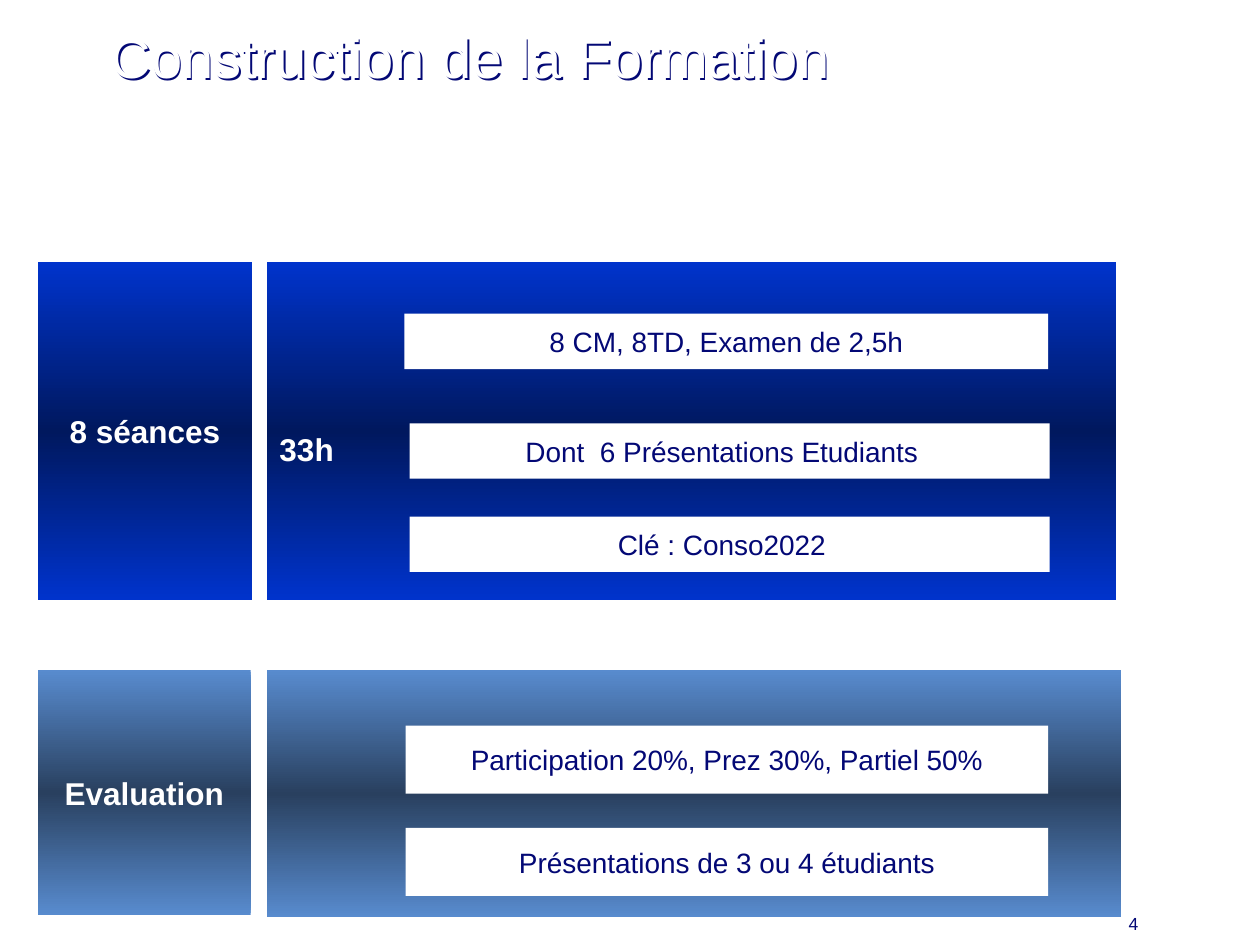
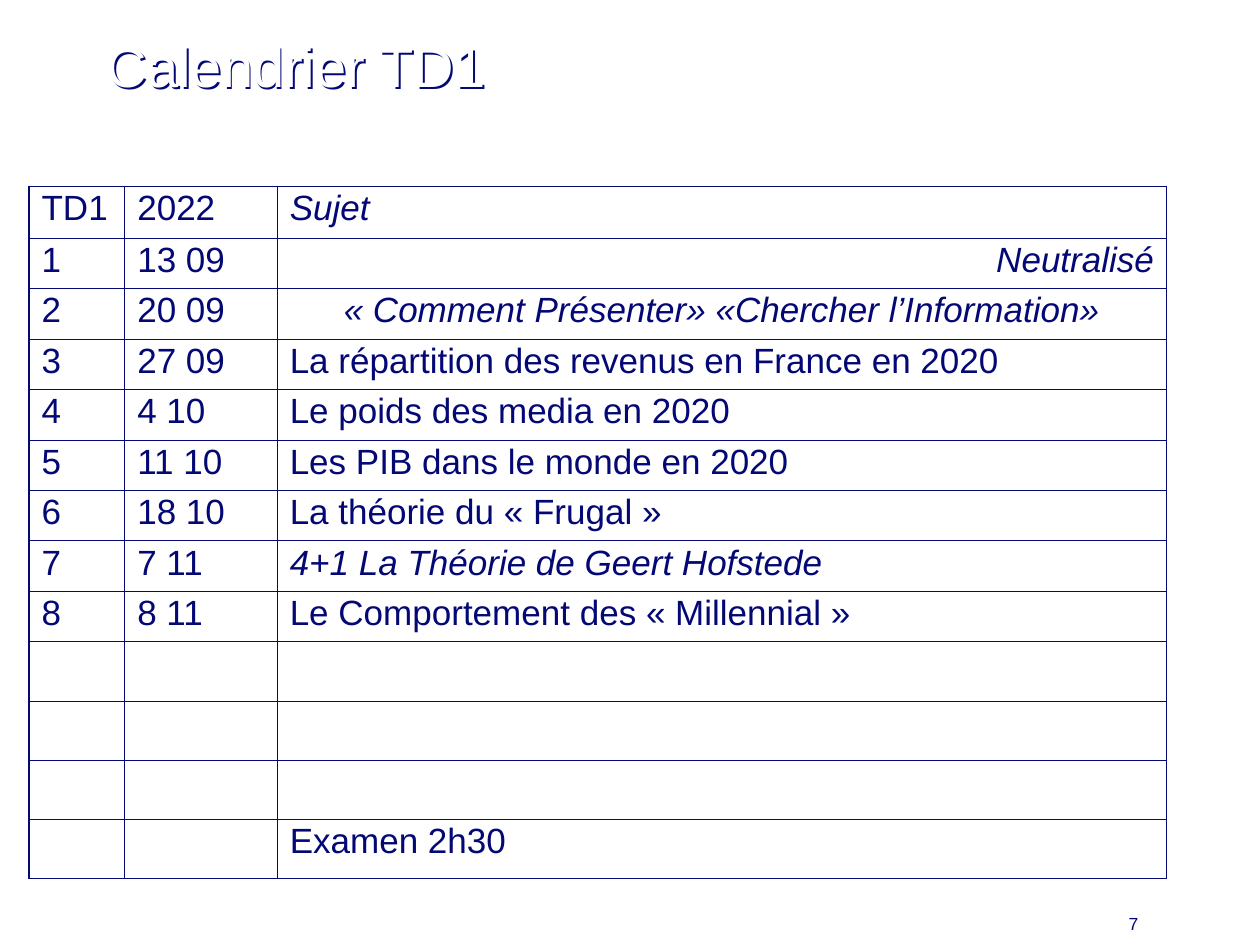
from copy import deepcopy

from pptx import Presentation
from pptx.dml.color import RGBColor
from pptx.enum.shapes import MSO_SHAPE as Shape
from pptx.enum.text import MSO_ANCHOR as Anchor, PP_ALIGN as Align
from pptx.oxml import parse_xml
from pptx.oxml.ns import nsdecls, qn
from pptx.util import Inches, Pt

WHITE = RGBColor(0xFF, 0xFF, 0xFF)
NAVY = RGBColor(0x03, 0x08, 0x75)
ROYAL = RGBColor(0x00, 0x33, 0xCC)
MIDNIGHT = RGBColor(0x00, 0x18, 0x5E)
SKY = RGBColor(0x58, 0x8B, 0xCE)
SLATE = RGBColor(0x29, 0x40, 0x5F)

SESSIONS = (ROYAL, MIDNIGHT, ROYAL)
EVALUATION = (SKY, SLATE, SKY)
THIN, THICK = 0.45, 1.08


class Deck:
    font = "Arial"

    def __init__(self):
        self.deck = Presentation()
        self.deck.slide_width = Inches(10)
        self.deck.slide_height = Inches(7.5)
        self.page = None

    def add_page(self, title, number, left, top, height):
        self.page = self.deck.slides.add_slide(self.deck.slide_layouts[6])
        fill = self.page.background.fill
        fill.solid()
        fill.fore_color.rgb = WHITE
        self.add_text(number, 8.86, 7.2, 0.69, 0.27, 10, NAVY)
        box = self.add_text(title, left, top, 8.48, height, 32, WHITE)
        box.text_frame.vertical_anchor = Anchor.BOTTOM
        box.text_frame.paragraphs[0].line_spacing = 0.9
        self.add_shadow(box)

    def add_shadow(self, box):
        box._element.spPr.append(parse_xml(
            f'<a:effectLst {nsdecls("a")}><a:outerShdw dist="17961" dir="2700000" '
            f'algn="ctr" rotWithShape="0"><a:srgbClr val="{NAVY}"/>'
            '</a:outerShdw></a:effectLst>'))

    def style(self, para, size, color, bold=False, italic=False, align=Align.LEFT):
        para.alignment = align
        para.font.name = self.font
        para.font.size = Pt(size)
        para.font.color.rgb = color
        para.font.bold = bold
        para.font.italic = italic

    def add_text(self, text, left, top, width, height, size, color):
        box = self.page.shapes.add_textbox(
            Inches(left), Inches(top), Inches(width), Inches(height))
        frame = box.text_frame
        frame.word_wrap = True
        frame.text = text
        self.style(frame.paragraphs[0], size, color)
        return box

    def add_box(self, left, top, width, height, text="", size=16, color=NAVY,
                bold=False, align=Align.CENTER):
        box = self.page.shapes.add_shape(
            Shape.RECTANGLE, Inches(left), Inches(top), Inches(width), Inches(height))
        box.shadow.inherit = False
        box.line.fill.background()
        box.fill.solid()
        box.fill.fore_color.rgb = WHITE
        frame = box.text_frame
        frame.word_wrap = True
        frame.vertical_anchor = Anchor.MIDDLE
        frame.text = text
        self.style(frame.paragraphs[0], size, color, bold, align=align)
        return box

    def add_panel(self, left, top, width, height, colors, text="", align=Align.CENTER):
        panel = self.add_box(left, top, width, height, text, 18, WHITE, True, align)
        panel.fill.gradient()
        stop_list = panel._element.spPr.find(qn("a:gradFill")).find(qn("a:gsLst"))
        stop_list.append(deepcopy(stop_list[0]))
        for index, (stop, color) in enumerate(zip(panel.fill.gradient_stops, colors)):
            stop.color.rgb = color
            stop.position = index / 2
        panel.fill.gradient_angle = 90
        return panel

    def set_borders(self, cell, widths):
        properties = cell._tc.get_or_add_tcPr()
        for index, (side, width) in enumerate(widths.items()):
            properties.insert(index, parse_xml(
                f'<a:ln{side} {nsdecls("a")} w="{int(Pt(width))}"><a:solidFill>'
                f'<a:srgbClr val="{NAVY}"/></a:solidFill></a:ln{side}>'))

    def add_table(self, left, top, widths, heights, rows, italics, aligns):
        table = self.page.shapes.add_table(
            len(rows), len(widths), Inches(left), Inches(top),
            Inches(sum(widths)), Inches(sum(heights))).table
        table.first_row = table.horz_banding = False
        for column, width in zip(table.columns, widths):
            column.width = Inches(width)
        last = len(rows) - 1
        for r, (values, height) in enumerate(zip(rows, heights)):
            table.rows[r].height = Inches(height)
            for c, value in enumerate(values):
                cell = table.cell(r, c)
                cell.text = value
                para = cell.text_frame.paragraphs[0]
                para.line_spacing = 0.9
                self.style(para, 20, NAVY, italic=(r, c) in italics,
                           align=aligns.get((r, c), Align.LEFT))
                cell.fill.solid()
                cell.fill.fore_color.rgb = WHITE
                self.set_borders(cell, {
                    "L": THICK if c == 0 else THIN, "R": THIN,
                    "T": THICK if r == 0 else THIN,
                    "B": THICK if r == last else THIN})

    def build_course(self):
        self.add_page("Construction de la Formation", "4", 0.78, 0.2, 0.57)
        self.add_panel(2.12, 5.32, 6.78, 1.96, EVALUATION)
        hours = self.add_panel(2.12, 2.08, 6.74, 2.68, SESSIONS, "33h", Align.LEFT)
        hours.text_frame.margin_top = Inches(0.34)
        self.add_panel(0.3, 2.08, 1.7, 2.68, SESSIONS, "8 séances")
        self.add_panel(0.3, 5.32, 1.69, 1.94, EVALUATION, "Evaluation")
        self.add_box(3.21, 2.49, 5.11, 0.44, "8 CM, 8TD, Examen de 2,5h")
        for top, text in ((3.36, "Dont  6 Présentations Etudiants"),
                          (4.1, "Clé : Conso2022")):
            bar = self.add_box(3.25, top, 5.08, 0.44, text)
            bar.text_frame.margin_right = Inches(0.22)
        for top, text in ((5.76, "Participation 20%, Prez 30%, Partiel 50%"),
                          (6.57, "Présentations de 3 ou 4 étudiants")):
            self.add_box(3.22, top, 5.1, 0.54, text)

    def build_calendar(self):
        self.add_page("Calendrier TD1", "7", 0.75, 0.21, 0.63)
        sessions = (
            ("13 09", "Neutralisé"),
            ("20 09", "« Comment Présenter» «Chercher l’Information»"),
            ("27 09", "La répartition des revenus en France en 2020"),
            ("4 10", "Le poids des media en 2020"),
            ("11 10", "Les PIB dans le monde en 2020"),
            ("18 10", "La théorie du « Frugal »"),
            ("7 11", "4+1 La Théorie de Geert Hofstede"),
            ("8 11", "Le Comportement des « Millennial »"),
        )
        rows = [("TD1", "2022", "Sujet")]
        rows += [(str(number), *session) for number, session in enumerate(sessions, 1)]
        rows += [("", "", "")] * 3 + [("", "", "Examen 2h30")]
        heights = [0.41] + [0.4] * len(sessions) + [0.47] * 4
        self.add_table(0.23, 1.48, (0.76, 1.21, 7.06), heights, rows,
                       italics={(0, 2), (1, 2), (2, 2), (7, 2)},
                       aligns={(1, 2): Align.RIGHT, (2, 2): Align.CENTER})


def main():
    course = Deck()
    course.build_course()
    course.build_calendar()
    course.deck.save("out.pptx")


if __name__ == "__main__":
    main()
